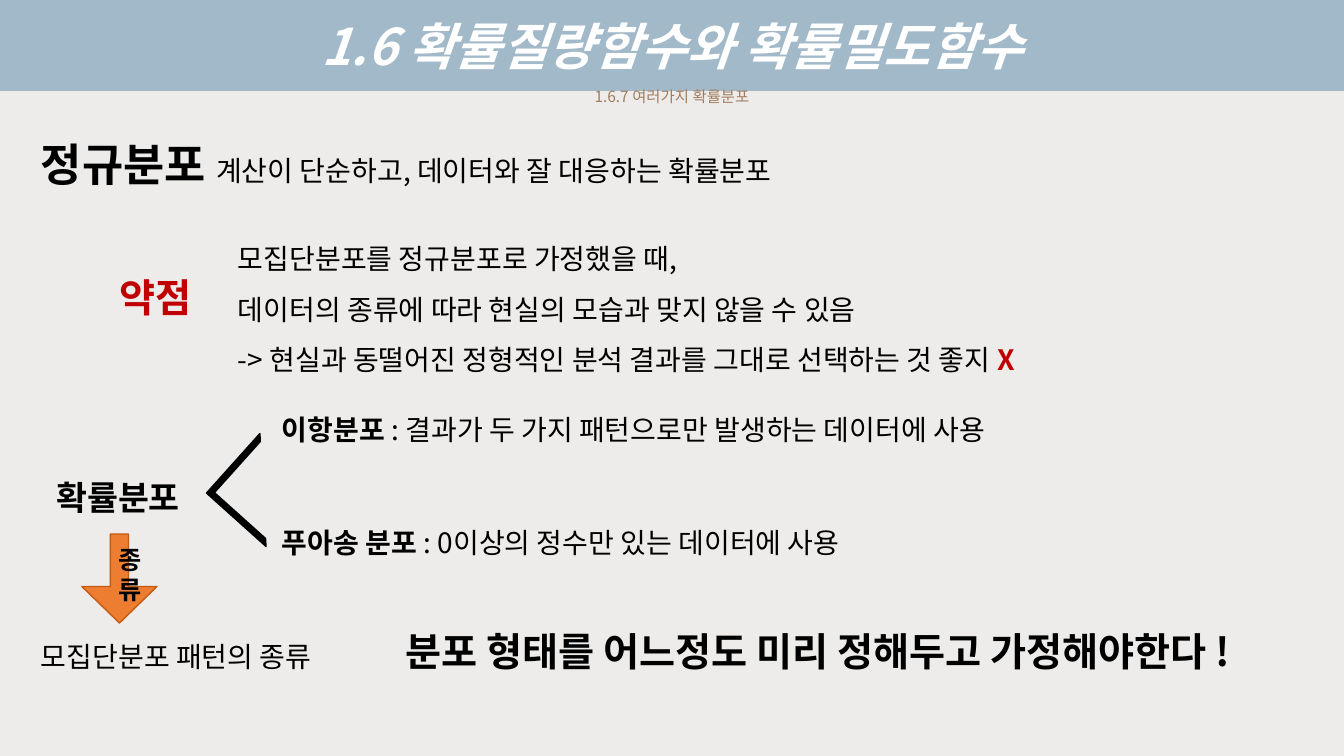
from lxml.etree import SubElement
from pptx import Presentation
from pptx.dml.color import RGBColor
from pptx.enum.shapes import MSO_SHAPE
from pptx.enum.text import MSO_ANCHOR, MSO_AUTO_SIZE, PP_ALIGN
from pptx.oxml.ns import qn
from pptx.util import Pt

EMU_PER_PX = 914400 / 100.8
FONT = "Noto Sans CJK KR"
COLORS = {
    "paper": "EDECEA",
    "header": "A2B9C9",
    "title": "FFFFFF",
    "subtitle": "A17D60",
    "text": "000000",
    "accent": "C00000",
    "arrow": "ED7D31",
    "arrow_line": "C55A11",
}


def px(length):
    """Turn pixels into EMU."""
    return round(length * EMU_PER_PX)


def color(name):
    """Look up a colour of the slide."""
    return RGBColor.from_string(COLORS[name])


def paint_background(slide):
    """Split the background into a header band and paper by a hard gradient."""
    fill = slide.background.fill
    fill.gradient()
    fill.gradient_angle = 90
    for stop, name in zip(fill.gradient_stops, ("paper", "header")):
        stop.position = 0.88
        stop.color.rgb = color(name)


def style_paragraph(paragraph, size=None, ink="text", bold=None, italic=None,
                    align=PP_ALIGN.LEFT, latin=FONT):
    """Set the font shared by a whole paragraph."""
    paragraph.alignment = align
    font = paragraph.font
    font.name = latin
    font.color.rgb = color(ink)
    font.bold = bold
    font.italic = italic
    if size:
        font.size = Pt(size)
    properties = paragraph._p.pPr.find(qn("a:defRPr"))
    SubElement(properties, qn("a:ea")).set("typeface", FONT)


def add_run(paragraph, text, size=None, bold=None, ink=None):
    """Append a run with its own size, weight or colour."""
    run = paragraph.add_run()
    run.text = text
    if size:
        run.font.size = Pt(size)
    if bold is not None:
        run.font.bold = bold
    if ink:
        run.font.color.rgb = color(ink)


def add_text(slide, box, lines, **style):
    """Add a growing text box with one paragraph per line."""
    frame = slide.shapes.add_textbox(*map(px, box)).text_frame
    frame.word_wrap = True
    frame.auto_size = MSO_AUTO_SIZE.SHAPE_TO_FIT_TEXT
    for index, line in enumerate(lines):
        paragraph = frame.add_paragraph() if index else frame.paragraphs[0]
        style_paragraph(paragraph, **style)
        add_run(paragraph, line)
    return frame


def add_term(slide, box, term, meaning, term_size=20):
    """Add a bold term followed by its meaning."""
    paragraph = add_text(slide, box, [], size=20).paragraphs[0]
    style_paragraph(paragraph)
    add_run(paragraph, term, term_size, True)
    add_run(paragraph, meaning, 20, False)


def add_shape(slide, kind, box, fill, line, adjustments):
    """Add a flat preset shape with a thin outline."""
    shape = slide.shapes.add_shape(kind, *map(px, box))
    shape.shadow.inherit = False
    shape.fill.solid()
    shape.fill.fore_color.rgb = color(fill)
    shape.line.color.rgb = color(line)
    shape.line.width = Pt(1)
    for index, value in enumerate(adjustments):
        shape.adjustments[index] = value
    return shape


def add_heading(slide):
    """Add the title with the section name below it."""
    frame = add_text(slide, (297, 10, 750, 109), ["1.6 확률질량함수와 확률밀도함수"],
                     size=36, ink="title", bold=True, italic=True,
                     align=PP_ALIGN.CENTER)
    section = frame.add_paragraph()
    style_paragraph(section, 11, "subtitle", align=PP_ALIGN.CENTER)
    section.space_before = Pt(8)
    add_run(section, "1.6.7 여러가지 확률분포")


def add_weakness(slide):
    """Add the weakness of the normal distribution."""
    frame = add_text(slide, (228, 220, 1045, 158), [
        "모집단분포를 정규분포로 가정했을 때,",
        "데이터의 종류에 따라 현실의 모습과 맞지 않을 수 있음",
        "-> 현실과 동떨어진 정형적인 분석 결과를 그대로 선택하는 것 좋지 ",
    ], size=20)
    for paragraph in frame.paragraphs:
        paragraph.line_spacing = 1.5
    add_run(frame.paragraphs[-1], "X", bold=True, ink="accent")
    add_text(slide, (110, 268, 120, 57), ["약점"], size=28, ink="accent",
             bold=True, latin="Lato")


def add_kinds(slide):
    """Add the branch from the distribution to its kinds."""
    bracket = add_shape(slide, MSO_SHAPE.HALF_FRAME, (223, 450, 80, 80),
                        "text", "text", (0.071, 0.071))
    bracket.rotation = 311.9
    add_term(slide, (272, 408, 1045, 44), "이항분포 ",
             ": 결과가 두 가지 패턴으로만 발생하는 데이터에 사용")
    add_term(slide, (272, 521, 1045, 45), "푸아송 분포 ",
             ": 0이상의 정수만 있는 데이터에 사용")
    add_text(slide, (31, 472, 174, 50), ["확률분포"], size=24, bold=True,
             align=PP_ALIGN.CENTER)
    arrow = add_shape(slide, MSO_SHAPE.DOWN_ARROW, (82, 534, 75, 89),
                      "arrow", "arrow_line", (0.243, 0.486))
    frame = arrow.text_frame
    frame.word_wrap = True
    frame.vertical_anchor = MSO_ANCHOR.MIDDLE
    style_paragraph(frame.paragraphs[0], 18, bold=True, align=PP_ALIGN.CENTER)
    add_run(frame.paragraphs[0], "종류", ink="text")


def main():
    """Build and save the slide."""
    presentation = Presentation()
    presentation.slide_width = px(1344)
    presentation.slide_height = px(756)
    slide = presentation.slides.add_slide(presentation.slide_layouts[6])
    paint_background(slide)
    add_heading(slide)
    add_term(slide, (31, 132, 1045, 65), "정규분포 ",
             "계산이 단순하고, 데이터와 잘 대응하는 확률분포", 32)
    add_weakness(slide)
    add_kinds(slide)
    add_text(slide, (31, 635, 1045, 45), ["모집단분포 패턴의 종류"], size=20)
    add_text(slide, (396, 622, 940, 57),
             ["분포 형태를 어느정도 미리 정해두고 가정해야한다 !"], size=28, bold=True)
    presentation.save("out.pptx")


if __name__ == "__main__":
    main()
